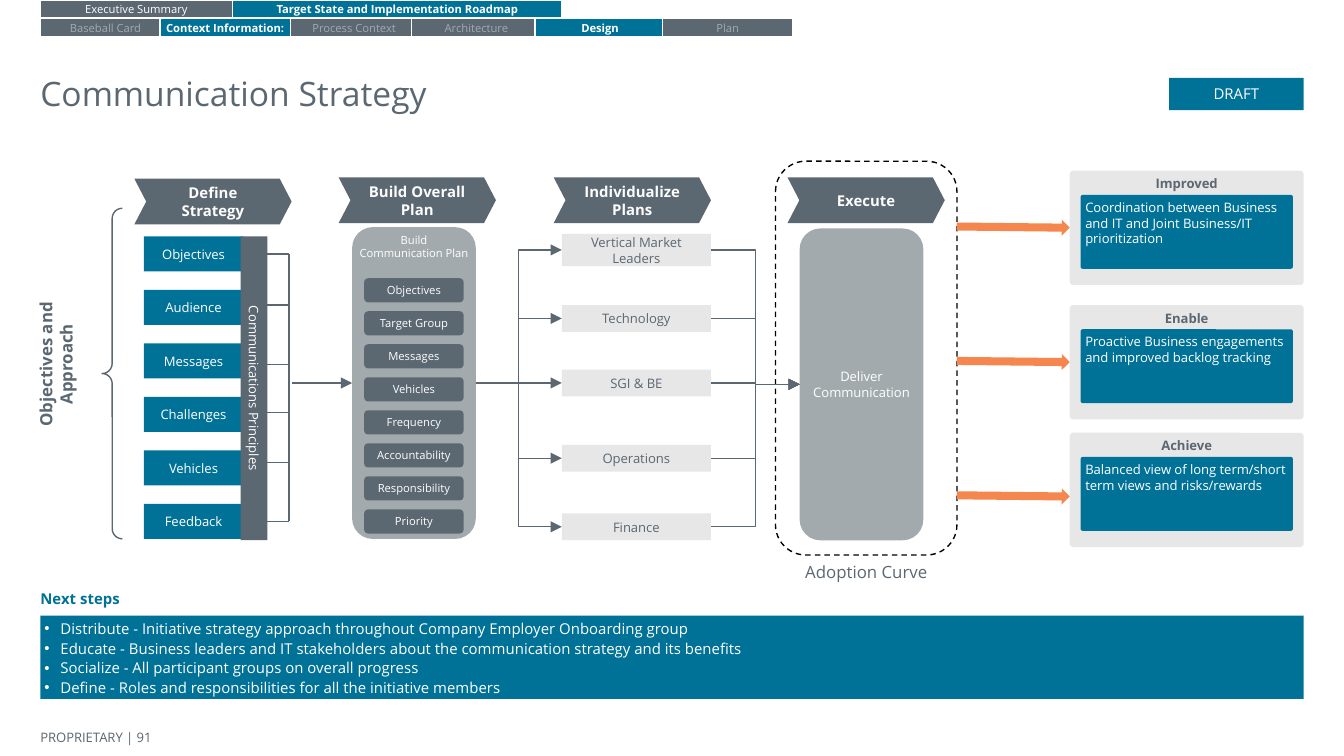
from lxml import etree
from pptx import Presentation
from pptx.dml.color import RGBColor
from pptx.enum import dml, shapes, text
from pptx.oxml.ns import qn
from pptx.util import Inches, Pt

FONT = "Open Sans"
TEAL, SLATE, GRAY, PALE = "007298", "5B6771", "A3AAAD", "E7E7E7"
WHITE, ORANGE, BLACK = "FFFFFF", "F5864E", "000000"
SHAPE = shapes.MSO_SHAPE
LEFT, CENTER = text.PP_ALIGN.LEFT, text.PP_ALIGN.CENTER
TOP, MIDDLE = text.MSO_ANCHOR.TOP, text.MSO_ANCHOR.MIDDLE


def color(value):
    return RGBColor.from_string(value)


def spread(first, last, count):
    """Evenly spaced positions from first to last."""
    return [first + (last - first) * i / (count - 1) for i in range(count)]


def place(shape, left, top, width, height):
    shape.left, shape.top = Inches(left), Inches(top)
    shape.width, shape.height = Inches(width), Inches(height)


def write(shape, content, size, ink=WHITE, bold=False, align=CENTER, anchor=MIDDLE,
          inset=0.0, side=None):
    """Fill the text frame, one paragraph for each line; side overrides the lateral inset."""
    frame = shape.text_frame
    frame.text = content
    frame.word_wrap = True
    frame.auto_size = text.MSO_AUTO_SIZE.NONE
    frame.vertical_anchor = anchor
    frame.margin_left = frame.margin_right = Inches(inset if side is None else side)
    frame.margin_top = frame.margin_bottom = Inches(inset)
    for paragraph in frame.paragraphs:
        paragraph.alignment = align
        for run in paragraph.runs:
            run.font.name, run.font.size, run.font.bold = FONT, Pt(size), bold
            run.font.color.rgb = color(ink)


def add_label(slide, box, content, size, **style):
    label = slide.shapes.add_textbox(*map(Inches, box))
    write(label, content, size, **style)
    return label


def add_box(slide, kind, box, fill=None, line=None, adjust=None):
    shape = slide.shapes.add_shape(kind, *map(Inches, box))
    shape.shadow.inherit = False
    if fill:
        shape.fill.solid()
        shape.fill.fore_color.rgb = color(fill)
    else:
        shape.fill.background()
    if line:
        shape.line.color.rgb = color(line)
        shape.line.width = Pt(0.75)
    else:
        shape.line.fill.background()
    if adjust is not None:
        shape.adjustments[0] = adjust
    return shape


def add_line(slide, start, end, kind=shapes.MSO_CONNECTOR.STRAIGHT, arrow=False):
    connector = slide.shapes.add_connector(kind, *map(Inches, start + end))
    connector.line.color.rgb = color(SLATE)
    connector.line.width = Pt(0.75)
    properties = connector.element.spPr
    if arrow:
        etree.SubElement(properties.find(qn("a:ln")), qn("a:tailEnd"), type="triangle")
    etree.SubElement(properties, qn("a:effectLst"))


def add_bullets(paragraphs):
    for number, paragraph in enumerate(paragraphs):
        paragraph.space_before = Pt(1 if number else 0)
        properties = paragraph._p.get_or_add_pPr()
        properties.set("marL", str(Inches(0.12)))
        properties.set("indent", str(-Inches(0.14)))
        bullet_color = etree.SubElement(properties, qn("a:buClr"))
        etree.SubElement(bullet_color, qn("a:srgbClr"), val=WHITE)
        etree.SubElement(properties, qn("a:buFont"), typeface="Arial")
        etree.SubElement(properties, qn("a:buChar"), char="•")


def add_navigation(slide):
    tabs = [
        ((0.3, 0, 1.43, 0.13), "Executive Summary", SLATE, WHITE),
        ((1.73, 0, 2.45, 0.13), "Target State and Implementation Roadmap", TEAL, WHITE),
    ]
    second_row = [
        (0.3, "Baseball Card", False), (2.15, "Process Context", False),
        (1.19, "Context Information:", True), (3.06, "Architecture", False),
        (3.98, "Design", True), (4.93, "Plan", False),
    ]
    for left, name, active in second_row:
        fill, ink = (TEAL, WHITE) if active else (SLATE, GRAY)
        tabs.append(((left, 0.14, 0.97, 0.13), name, fill, ink))
    for box, name, fill, ink in tabs:
        tab = add_box(slide, SHAPE.RECTANGLE, box, fill, line=WHITE)
        write(tab, name, 6, ink, bold=fill == TEAL, inset=0.03)


def add_phases(slide):
    phases = [(1, 1.33, "Define Strategy"), (2.52, 1.32, "Build Overall Plan"),
              (4.12, 1.32, "Individualize Plans"), (5.86, 1.32, "Execute")]
    for left, top, name in phases:
        chevron = add_box(slide, SHAPE.CHEVRON, (left, top, 1.17, 0.34), SLATE, adjust=0.26)
        write(chevron, name, 8, "FCFCFC", bold=True, inset=0.05, side=0.1)


def add_strategy(slide):
    add_box(slide, SHAPE.LEFT_BRACE, (0.76, 1.55, 0.15, 2.46), line=SLATE, adjust=0.5)
    heading = add_label(slide, (-0.25, 2.51, 1.43, 0.4), "Objectives and Approach", 9,
                        ink=SLATE, bold=True, anchor=TOP)
    heading.rotation = 270
    names = ["Objectives", "Audience", "Messages", "Challenges", "Vehicles", "Feedback"]
    for top, name in zip(spread(1.76, 3.75, len(names)), names):
        box = add_box(slide, SHAPE.RECTANGLE, (1.07, top, 0.74, 0.26), TEAL)
        write(box, name, 7, inset=0.04)
    principles = add_box(slide, SHAPE.RECTANGLE, (0.76, 2.79, 2.26, 0.2), SLATE)
    principles.rotation = 90
    write(principles, "Communications Principles", 7, inset=0.04)
    for y in (1.89, 2.27, 2.71, 3.07, 3.44, 3.88):
        add_line(slide, (1.99, y), (2.15, y))
    add_line(slide, (2.15, 1.89), (2.15, 3.88))
    add_line(slide, (2.17, 2.85), (2.62, 2.85), arrow=True)


def add_plan(slide):
    panel = add_box(slide, SHAPE.ROUNDED_RECTANGLE, (2.62, 1.69, 0.92, 2.32), GRAY)
    write(panel, "Build Communication Plan", 6, anchor=TOP)
    names = ["Objectives", "Target Group", "Messages", "Vehicles", "Frequency",
             "Accountability", "Responsibility", "Priority"]
    for top, name in zip(spread(2.07, 3.79, len(names)), names):
        item = add_box(slide, SHAPE.ROUNDED_RECTANGLE, (2.71, top, 0.74, 0.18), SLATE)
        write(item, name, 6)


def add_individual_plans(slide):
    audiences = [(1.74, 0.24, "Vertical Market Leaders"), (2.27, 0.2, "Technology"),
                 (2.75, 0.2, "SGI & BE"), (3.31, 0.2, "Operations"), (3.82, 0.2, "Finance")]
    elbow = shapes.MSO_CONNECTOR.ELBOW
    for top, height, name in audiences:
        box = add_box(slide, SHAPE.RECTANGLE, (4.18, top, 1.11, height), PALE)
        write(box, name, 7, SLATE, inset=0.04)
        middle = top + height / 2
        add_line(slide, (3.54, 2.85), (4.18, middle), elbow, arrow=True)
        add_line(slide, (5.29, middle), (5.95, 2.86), elbow, arrow=True)


def add_execution(slide):
    frame = add_box(slide, SHAPE.ROUNDED_RECTANGLE, (5.77, 1.2, 1.35, 2.93), line=BLACK)
    frame.line.dash_style = dml.MSO_LINE.DASH
    panel = add_box(slide, SHAPE.ROUNDED_RECTANGLE, (5.95, 1.7, 0.92, 2.32), GRAY)
    write(panel, "Deliver\nCommunication", 7)
    add_label(slide, (5.72, 4.18, 1.45, 0.18), "Adoption Curve", 9, ink=SLATE, anchor=TOP)


def add_outcomes(slide):
    outcomes = [
        (1.27, "Improved",
         "Coordination between Business and IT and Joint Business/IT prioritization"),
        (2.27, "Enable", "Proactive Business engagements and improved backlog tracking"),
        (3.22, "Achieve", "Balanced view of long term/short term views and risks/rewards"),
    ]
    for number, (top, heading, detail) in enumerate(outcomes):
        arrow = add_box(slide, SHAPE.RIGHT_ARROW, (7.12, 1.63 + number, 0.84, 0.12), ORANGE)
        arrow.rotation = 0.6
        card = add_box(slide, SHAPE.ROUNDED_RECTANGLE, (7.96, top, 1.74, 0.85), PALE, adjust=0.03)
        write(card, heading, 7, SLATE, bold=True, anchor=TOP, inset=0.03)
        body = add_box(slide, SHAPE.ROUNDED_RECTANGLE, (8.04, top + 0.18, 1.58, 0.55), TEAL,
                       adjust=0.03)
        write(body, detail, 7, align=LEFT, anchor=TOP, inset=0.03)


def add_next_steps(slide):
    add_label(slide, (0.3, 4.39, 2.51, 0.13), "Next steps", 8,
              ink=TEAL, bold=True, align=LEFT, anchor=TOP)
    steps = [
        "Distribute - Initiative strategy approach throughout Company Employer Onboarding group",
        "Educate - Business leaders and IT stakeholders about the communication strategy"
        " and its benefits",
        "Socialize - All participant groups on overall progress",
        "Define - Roles and responsibilities for all the initiative members",
    ]
    body = slide.placeholders[1]
    place(body, 0.3, 4.58, 9.4, 0.62)
    body.fill.solid()
    body.fill.fore_color.rgb = color(TEAL)
    write(body, "\n".join(steps), 8, align=LEFT, anchor=TOP, inset=0.03)
    add_bullets(body.text_frame.paragraphs)


def main():
    presentation = Presentation()
    presentation.slide_width, presentation.slide_height = Inches(10), Inches(10 * 9 / 16)
    slide = presentation.slides.add_slide(presentation.slide_layouts[1])
    place(slide.shapes.title, 0.3, 0.54, 9.4, 0.3)
    write(slide.shapes.title, "Communication Strategy", 18, SLATE, align=LEFT, anchor=TOP)
    draft = add_box(slide, SHAPE.RECTANGLE, (8.7, 0.58, 1, 0.24), TEAL)
    write(draft, "DRAFT", 8, anchor=TOP, inset=0.05)
    add_navigation(slide)
    add_execution(slide)
    add_phases(slide)
    add_strategy(slide)
    add_plan(slide)
    add_individual_plans(slide)
    add_outcomes(slide)
    add_next_steps(slide)
    add_label(slide, (0.3, 5.39, 1.38, 0.19), "PROPRIETARY | 91", 7, ink=SLATE, align=LEFT)
    presentation.save("out.pptx")


if __name__ == "__main__":
    main()
